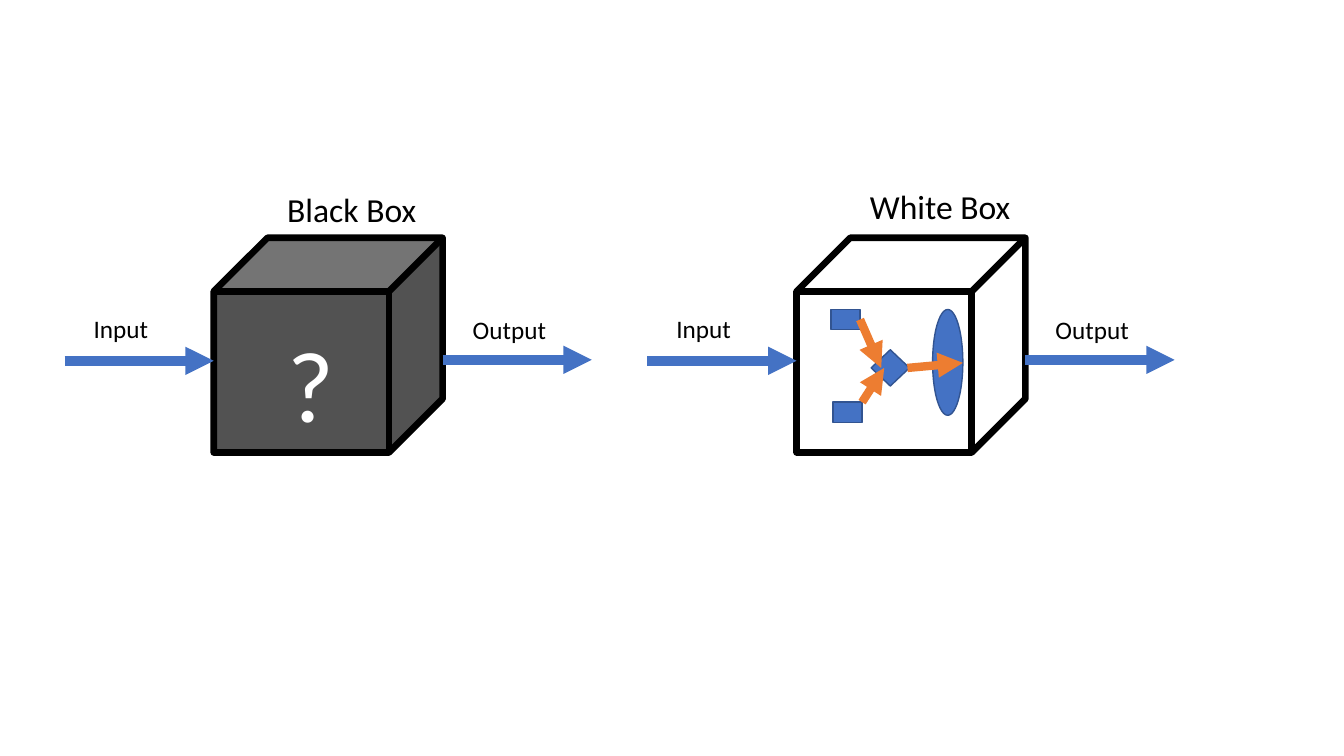
from pptx import Presentation
from pptx.dml.color import RGBColor
from pptx.enum.shapes import MSO_CONNECTOR, MSO_SHAPE
from pptx.enum.text import MSO_AUTO_SIZE
from pptx.oxml.ns import qn
from pptx.util import Inches, Pt
from lxml.etree import SubElement

BLACK, WHITE = "000000", "FFFFFF"
BLUE, NAVY, ORANGE = "4472C4", "325491", "ED7D31"
STEP = 5.78


def paint(color, code):
    """Set a colour from a hex string."""
    color.rgb = RGBColor.from_string(code)


def add_text(group, text, x, y, w, h, size=18, color=BLACK):
    """Add a text box in one format."""
    box = group.shapes.add_textbox(Inches(x), Inches(y), Inches(w), Inches(h))
    frame = box.text_frame
    frame.word_wrap = True
    frame.auto_size = MSO_AUTO_SIZE.SHAPE_TO_FIT_TEXT
    run = frame.paragraphs[0].add_run()
    run.text = text
    run.font.name = "Calibri"
    run.font.size = Pt(size)
    paint(run.font.color, color)


def add_shape(group, kind, x, y, w, h, fill=BLUE, line=NAVY, width=1, alpha=None):
    """Add a preset shape, filled or hollow."""
    shape = group.shapes.add_shape(kind, Inches(x), Inches(y), Inches(w), Inches(h))
    shape.shadow.inherit = False
    if fill:
        shape.fill.solid()
        paint(shape.fill.fore_color, fill)
    else:
        shape.fill.background()
    if alpha:
        tone = next(shape._element.spPr.iter(qn("a:srgbClr")))
        SubElement(tone, qn("a:alpha"), val=str(alpha * 1000))
    paint(shape.line.color, line)
    shape.line.width = Pt(width)


def add_arrow(group, x1, y1, x2, y2, color=BLUE, width=6.75):
    """Add a straight arrow without a shadow."""
    arrow = group.shapes.add_connector(
        MSO_CONNECTOR.STRAIGHT, Inches(x1), Inches(y1), Inches(x2), Inches(y2))
    paint(arrow.line.color, color)
    arrow.line.width = Pt(width)
    SubElement(arrow.line._get_or_add_ln(), qn("a:tailEnd"), type="triangle")
    SubElement(arrow._element.spPr, qn("a:effectLst"))


def add_box(slide, x, name, top, fill=None, alpha=None):
    """Add a cube with its name, input and output."""
    group = slide.shapes.add_group_shape()
    add_shape(group, MSO_SHAPE.CUBE, x + 1.48, 2.36, 2.27, 2.13,
              fill=fill, line=BLACK, width=4.75, alpha=alpha)
    add_text(group, name, x + 2.11, top, 1.84, 0.5, size=24)
    add_arrow(group, x, 3.58, x + 1.48, 3.58)
    add_arrow(group, x + 3.75, 3.57, x + 5.23, 3.57)
    add_text(group, "Input", x + 0.19, 3.06, 1.29, 0.4)
    add_text(group, "Output", x + 3.95, 3.07, 1.29, 0.4)
    return group


def add_parts(group):
    """Add the visible inner workings of the white box."""
    for kind, *place in (
        (MSO_SHAPE.RECTANGLE, 8.24, 3.07, 0.29, 0.2),
        (MSO_SHAPE.RECTANGLE, 8.26, 3.99, 0.29, 0.2),
        (MSO_SHAPE.DIAMOND, 8.64, 3.47, 0.38, 0.36),
        (MSO_SHAPE.OVAL, 9.25, 3.07, 0.3, 1.05),
    ):
        add_shape(group, kind, *place)
    for ends in (
        (8.53, 3.17, 8.74, 3.65),
        (8.55, 3.99, 8.77, 3.65),
        (9, 3.65, 9.55, 3.6),
    ):
        add_arrow(group, *ends, color=ORANGE, width=6)


def main():
    """Build the slide and save it."""
    deck = Presentation()
    deck.slide_width, deck.slide_height = Inches(13.33), Inches(7.5)
    slide = deck.slides.add_slide(deck.slide_layouts[6])
    left = 0.64
    black = add_box(slide, left, "Black Box", 1.83, fill=BLACK, alpha=68)
    add_text(black, "?", 2.75, 3.14, 0.75, 1.31, size=72, color=WHITE)
    white = add_box(slide, left + STEP, "White Box", 1.8)
    add_parts(white)
    deck.save("out.pptx")


main()
